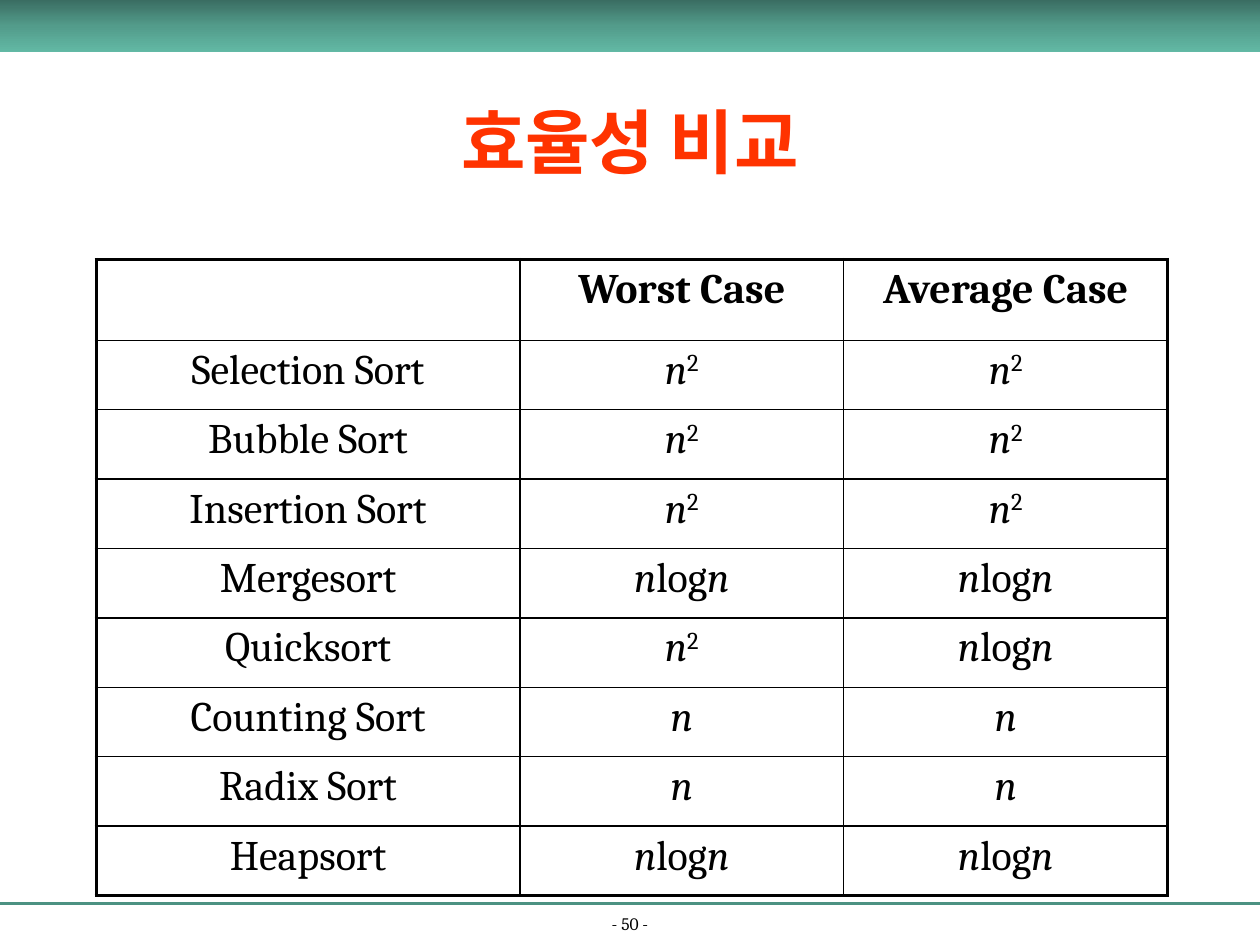
from copy import deepcopy

from lxml.etree import SubElement
from pptx import Presentation
from pptx.dml.color import RGBColor
from pptx.enum.shapes import MSO_CONNECTOR, MSO_SHAPE
from pptx.enum.text import MSO_ANCHOR, PP_ALIGN
from pptx.oxml import parse_xml
from pptx.oxml.ns import nsdecls, qn
from pptx.util import Cm, Pt

BLACK = RGBColor(0x00, 0x00, 0x00)
ORANGE_RED = RGBColor(0xFF, 0x33, 0x00)
TEAL_LINE = RGBColor(0x4C, 0x92, 0x82)
TEAL_BAND = [
    RGBColor(0x3A, 0x6D, 0x62),
    RGBColor(0x53, 0x9C, 0x8B),
    RGBColor(0x62, 0xB9, 0xA5),
]

PAGE_WIDTH, PAGE_HEIGHT = 25.4, 19.05
THIN, THICK = 1, 2.25

# A cell is a list of (text, style) spans.
SQUARE = [("n", "variable"), ("2", "power")]
LINEAR = [("n", "variable")]
LOG_LINEAR = [("n", "variable"), ("log", "plain"), ("n", "variable")]
SORTS = [
    ("Selection Sort", SQUARE, SQUARE),
    ("Bubble Sort", SQUARE, SQUARE),
    ("Insertion Sort", SQUARE, SQUARE),
    ("Mergesort", LOG_LINEAR, LOG_LINEAR),
    ("Quicksort", SQUARE, LOG_LINEAR),
    ("Counting Sort", LINEAR, LINEAR),
    ("Radix Sort", LINEAR, LINEAR),
    ("Heapsort", LOG_LINEAR, LOG_LINEAR),
]
HEADINGS = [[], [("Worst Case", "heading")], [("Average Case", "heading")]]


class SlideBuilder:
    font_name = "Cambria"
    styles = {
        "title": {"size": Pt(40), "bold": True},
        "heading": {"size": Pt(24), "bold": True},
        "plain": {"size": Pt(24)},
        "variable": {"size": Pt(24), "italic": True},
        "power": {"size": Pt(24)},
        "page number": {"size": Pt(10)},
    }

    def __init__(self, page):
        self.page = page

    def add_spans(self, para, spans, color=BLACK):
        para.alignment = PP_ALIGN.CENTER
        for text, style in spans:
            span = para.add_run()
            span.text = text
            span.font.name = self.font_name
            span.font.color.rgb = color
            for name, value in self.styles[style].items():
                setattr(span.font, name, value)
            if style == "power":
                span._r.get_or_add_rPr().set("baseline", "30000")

    def title(self, text, left, top, width, height):
        box = self.page.shapes.title
        box.left, box.top, box.width, box.height = map(Cm, (left, top, width, height))
        box.text_frame.vertical_anchor = MSO_ANCHOR.MIDDLE
        self.add_spans(box.text_frame.paragraphs[0], [(text, "title")], ORANGE_RED)

    def label(self, text, style, left, top, width, height):
        box = self.page.shapes.add_textbox(*map(Cm, (left, top, width, height)))
        box.text_frame.word_wrap = True
        box.text_frame.vertical_anchor = MSO_ANCHOR.BOTTOM
        self.add_spans(box.text_frame.paragraphs[0], [(text, style)])

    def gradient_band(self, colors, left, top, width, height):
        band = self.page.shapes.add_shape(
            MSO_SHAPE.RECTANGLE, *map(Cm, (left, top, width, height))
        )
        band.shadow.inherit = False
        band.line.fill.background()
        band.fill.gradient()
        band.fill.gradient_angle = 270
        stop_list = next(band._element.iter(qn("a:gsLst")))
        stop_list.append(deepcopy(stop_list[0]))
        for index, (stop, color) in enumerate(zip(band.fill.gradient_stops, colors)):
            stop.color.rgb = color
            stop.position = index / (len(colors) - 1)

    def rule(self, top, color, weight):
        line = self.page.shapes.add_connector(
            MSO_CONNECTOR.STRAIGHT, 0, Cm(top), Cm(PAGE_WIDTH), Cm(top)
        )
        line.line.color.rgb = color
        line.line.width = Pt(weight)
        SubElement(line._element.spPr, qn("a:effectLst"))

    def borders(self, cell, weights):
        """Draw the cell's sides; weights are points for left, right, top, bottom."""
        properties = cell._tc.get_or_add_tcPr()
        for index, (side, weight) in enumerate(zip("LRTB", weights)):
            border = parse_xml(
                f'<a:ln{side} {nsdecls("a")} w="{Pt(weight)}"><a:solidFill>'
                f'<a:srgbClr val="{BLACK}"/></a:solidFill></a:ln{side}>'
            )
            properties.insert(index, border)

    def table(self, rows, left, top, widths, heights):
        frame = self.page.shapes.add_table(
            len(rows), len(widths),
            *map(Cm, (left, top, sum(widths), sum(heights))),
        )
        table = frame.table
        table.first_row = table.horz_banding = False
        for column, width in zip(table.columns, widths):
            column.width = Cm(width)
        last_row, last_column = len(rows) - 1, len(widths) - 1
        for r, (row, height) in enumerate(zip(rows, heights)):
            table.rows[r].height = Cm(height)
            for c, spans in enumerate(row):
                cell = table.cell(r, c)
                cell.fill.background()
                self.add_spans(cell.text_frame.paragraphs[0], spans)
                outer = (c == 0, c == last_column, r == 0, r == last_row)
                self.borders(cell, [THICK if edge else THIN for edge in outer])


def main():
    deck = Presentation()
    deck.slide_width, deck.slide_height = Cm(PAGE_WIDTH), Cm(PAGE_HEIGHT)
    builder = SlideBuilder(deck.slides.add_slide(deck.slide_layouts[5]))

    builder.rule(18.21, TEAL_LINE, 1.5)
    builder.label("- 50 -", "page number", 0, 18.39, PAGE_WIDTH, 0.56)
    builder.gradient_band(TEAL_BAND, 0, 0, PAGE_WIDTH, 1.06)
    builder.title("효율성 비교", 1.9, 1.25, 21.6, 3.18)

    rows = [HEADINGS]
    rows += [([(name, "plain")], worst, average) for name, worst, average in SORTS]
    heights = [1.63] + [1.4] * len(SORTS)
    builder.table(rows, 1.94, 5.23, [8.54, 6.53, 6.53], heights)

    deck.save("out.pptx")


if __name__ == "__main__":
    main()
